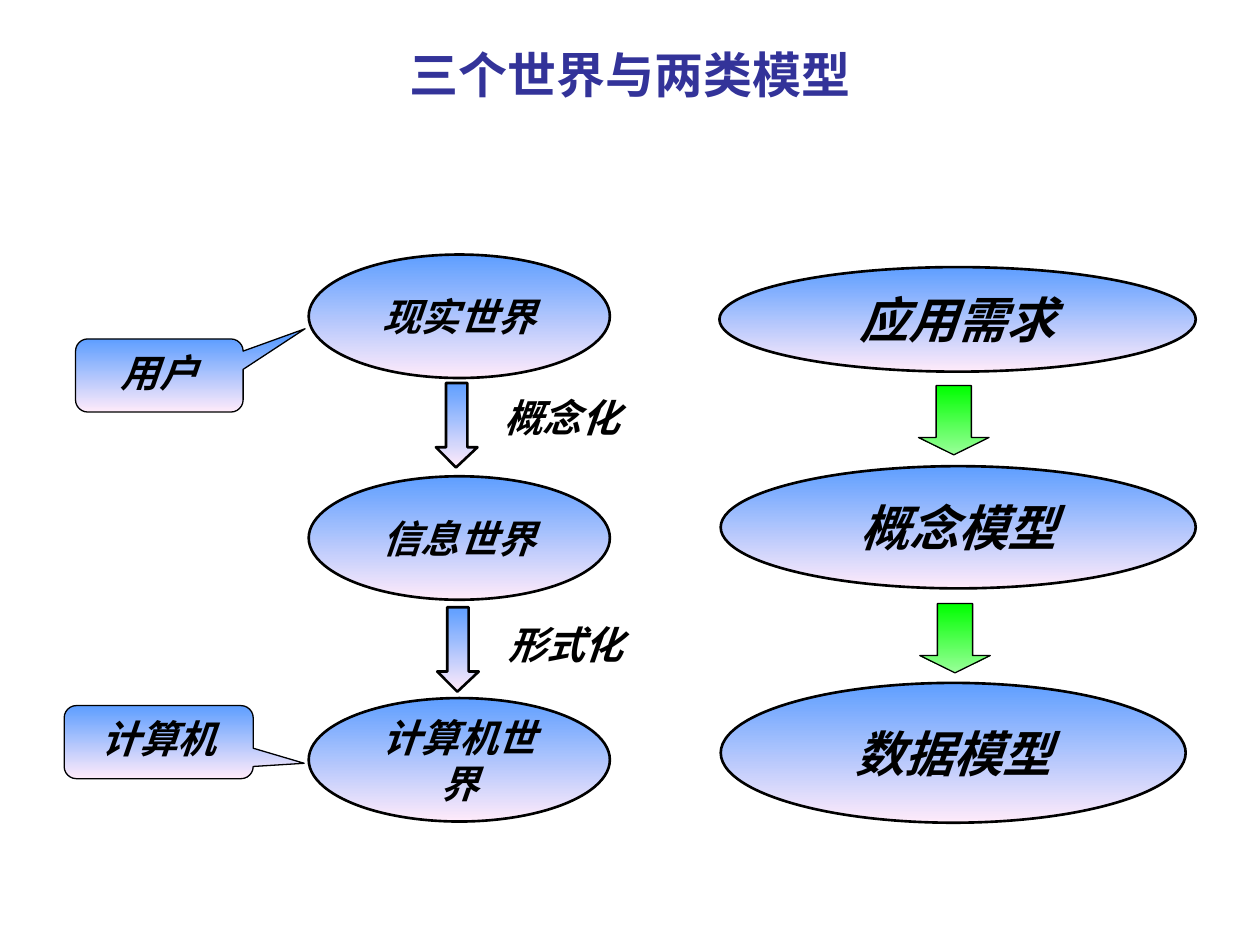
from pptx import Presentation
from pptx.dml.color import RGBColor
from pptx.enum.shapes import MSO_SHAPE as Kind
from pptx.enum.text import MSO_ANCHOR as Anchor, MSO_AUTO_SIZE as Fit, PP_ALIGN as Align
from pptx.oxml.ns import qn
from pptx.util import Inches, Pt
from lxml.etree import SubElement

COLORS = {
    "title": "333399",
    "ink": "000000",
    "sky": "5E9EFF",
    "pink": "FFEBFA",
    "green": "00FF00",
    "mint": "99FF99",
}
CJK = "Noto Sans CJK SC"
BLUE = ("sky", "pink")
GREEN = ("green", "mint")


def rgb(name):
    """Return the named colour."""
    return RGBColor.from_string(COLORS[name])


def write(shape, text, size, font=CJK, color="ink", italic=True, anchor=Anchor.TOP):
    """Put one centred bold line of text in a shape."""
    frame = shape.text_frame
    frame.text = text
    frame.word_wrap = True
    frame.vertical_anchor = anchor
    para = frame.paragraphs[0]
    para.alignment = Align.CENTER
    run = para.runs[0]
    run.font.name = font
    run.font.size = Pt(size)
    run.font.bold = True
    run.font.italic = italic
    run.font.color.rgb = rgb(color)
    SubElement(run.font._element, qn("a:ea")).set("typeface", CJK)


def paint(shape, pair, width):
    """Give a shape a downward gradient and a black outline."""
    shape.shadow.inherit = False
    shape.fill.gradient()
    shape.fill.gradient_angle = 270
    for stop, name, place in zip(shape.fill.gradient_stops, pair, (0, 1)):
        stop.color.rgb = rgb(name)
        stop.position = place
    shape.line.color.rgb = rgb("ink")
    shape.line.width = Pt(width)


def add_box(slide, box):
    """Add a text box at the given place."""
    return slide.shapes.add_textbox(*map(Inches, box))


def add_title(slide, text):
    """Add the slide heading."""
    write(add_box(slide, (0.5, 0.3, 9, 1.25)), text, 28, "Arial", "title", False)


def add_oval(slide, text, box, size):
    """Add an ellipse for a world or a model."""
    oval = slide.shapes.add_shape(Kind.OVAL, *map(Inches, box))
    paint(oval, BLUE, 1.5)
    write(oval, text, size, anchor=Anchor.MIDDLE)


def add_label(slide, text, left, top):
    """Add a step name beside an arrow."""
    label = add_box(slide, (left, top, 0.92, 0.37))
    write(label, text, 22)
    frame = label.text_frame
    frame.margin_left = frame.margin_right = frame.margin_top = frame.margin_bottom = 0
    frame.word_wrap = False
    frame.auto_size = Fit.SHAPE_TO_FIT_TEXT


def add_callout(slide, text, box, tip):
    """Add a rounded callout whose tip points at a world."""
    note = slide.shapes.add_shape(Kind.ROUNDED_RECTANGULAR_CALLOUT, *map(Inches, box))
    for i, value in enumerate((*tip, 0.167)):
        note.adjustments[i] = value
    paint(note, BLUE, 0.75)
    write(note, text, 22, "Arial")


def add_step(slide, left, top):
    """Add a slim arrow between two worlds."""
    outline = [(0, 0.51), (0.08, 0.51), (0.08, 0), (0.25, 0),
               (0.25, 0.51), (0.33, 0.51), (0.16, 0.67)]
    points = [(Inches(left + x), Inches(top + y)) for x, y in outline]
    pen = slide.shapes.build_freeform(*points[0])
    pen.add_line_segments(points[1:], close=True)
    paint(pen.convert_to_shape(), BLUE, 1.5)


def add_arrow(slide, left, top):
    """Add a green block arrow between two models."""
    box = map(Inches, (left, top, 0.56, 0.55))
    arrow = slide.shapes.add_shape(Kind.DOWN_ARROW, *box)
    arrow.adjustments[0] = 0.5
    arrow.adjustments[1] = 0.25
    paint(arrow, GREEN, 0.75)


def main():
    """Build the slide and save it."""
    deck = Presentation()
    deck.slide_width, deck.slide_height = Inches(10), Inches(7.5)
    slide = deck.slides.add_slide(deck.slide_layouts[6])
    add_title(slide, "三个世界与两类模型")

    for i, text in enumerate(("现实世界", "信息世界", "计算机世界")):
        add_oval(slide, text, (2.45, 2.02 + 1.76 * i, 2.39, 0.98), 22)
    add_step(slide, 3.46, 3.04)
    add_step(slide, 3.47, 4.82)
    add_label(slide, "概念化", 4, 3.13)
    add_label(slide, "形式化", 4.03, 4.93)
    add_callout(slide, "用户", (0.6, 2.69, 1.33, 0.58), (0.87, -0.64))
    add_callout(slide, "计算机", (0.51, 5.6, 1.5, 0.58), (0.77, 0.29))

    add_oval(slide, "应用需求", (5.71, 2.12, 3.78, 0.83), 28)
    add_oval(slide, "概念模型", (5.72, 3.7, 3.77, 0.97), 28)
    add_oval(slide, "数据模型", (5.72, 5.42, 3.69, 1.11), 28)
    add_arrow(slide, 7.29, 3.06)
    add_arrow(slide, 7.3, 4.79)
    deck.save("out.pptx")


if __name__ == "__main__":
    main()
